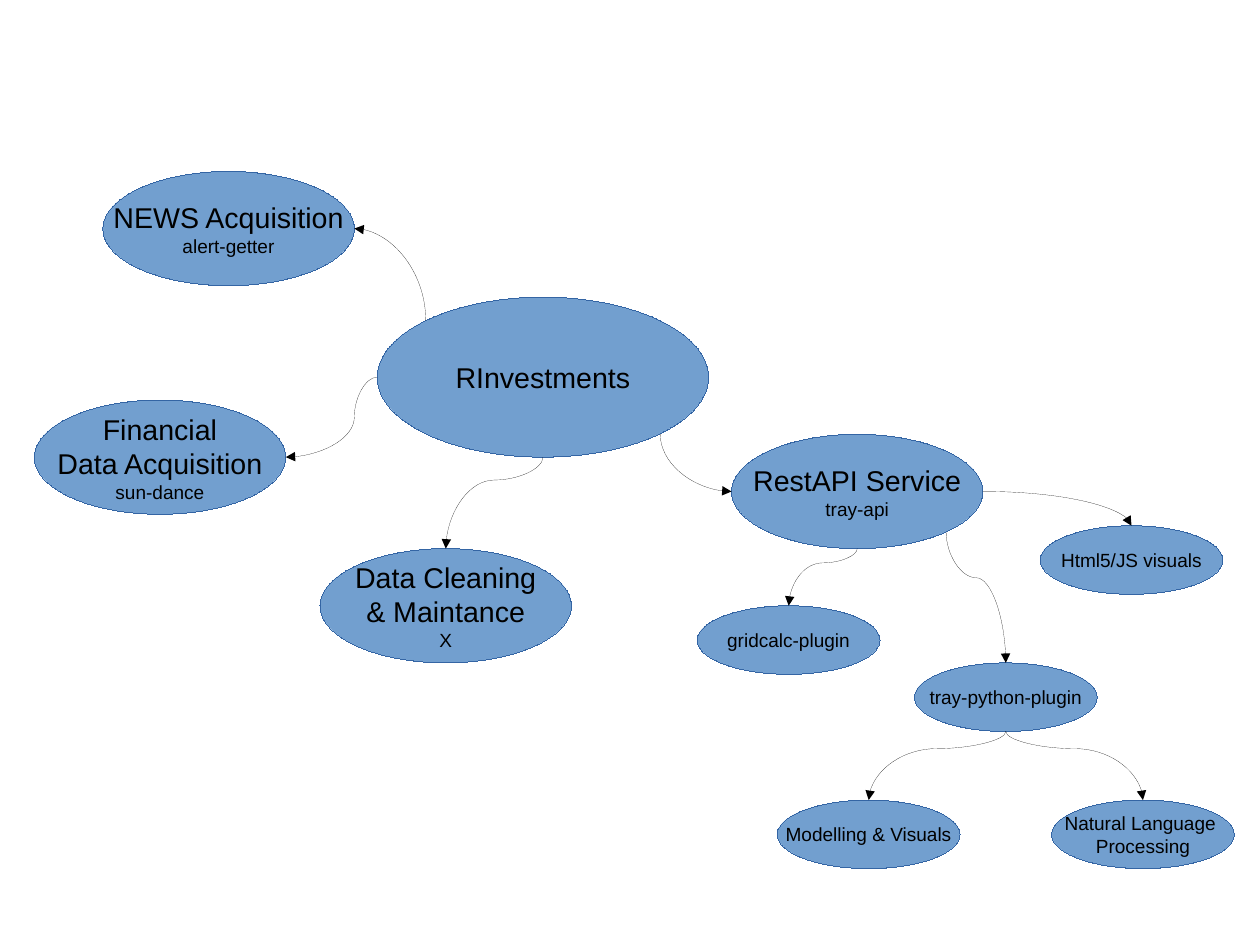
from lxml import etree
from pptx import Presentation
from pptx.dml.color import RGBColor
from pptx.enum import shapes, text
from pptx.oxml.ns import qn
from pptx.util import Cm, Inches, Pt

FILL = RGBColor(0x72, 0x9F, 0xCF)
OUTLINE = RGBColor(0x34, 0x65, 0xA4)
BLACK = RGBColor(0, 0, 0)
FONT = "Arial"
TITLE, DETAIL = 18, 12

# Ellipse sizes in inches: width, height
ROOT, BRANCH, LEAF = (2.9, 1.4), (2.2, 1.0), (1.6, 0.6)

# key: (left, top, size, [(line, points), ...])
BUBBLES = {
    "root": (3.3, 2.6, ROOT, [("RInvestments", TITLE)]),
    "financial": (0.3, 3.5, BRANCH, [("Financial", TITLE), ("Data Acquisition", TITLE),
                                     ("sun-dance", DETAIL)]),
    "cleaning": (2.8, 4.8, BRANCH, [("Data Cleaning", TITLE), ("& Maintance", TITLE),
                                    ("X", DETAIL)]),
    "rest": (6.4, 3.8, BRANCH, [("RestAPI Service", TITLE), ("tray-api", DETAIL)]),
    "sheet": (6.1, 5.3, LEAF, [("gridcalc-plugin", DETAIL)]),
    "python": (8.0, 5.8, LEAF, [("tray-python-plugin", DETAIL)]),
    "modelling": (6.8, 7.0, LEAF, [("Modelling & Visuals", DETAIL)]),
    "html": (9.1, 4.6, LEAF, [("Html5/JS visuals", DETAIL)]),
    "news": (0.9, 1.5, BRANCH, [("NEWS Acquisition", TITLE), ("alert-getter", DETAIL)]),
    "language": (9.2, 7.0, LEAF, [("Natural Language ", DETAIL), ("Processing", DETAIL)]),
}

# from, site, to, site, first direction, bend (None for a single quarter curve)
ARROWS = [
    ("root", "top left", "news", "right", "up", None),
    ("root", "left", "financial", "right", "left", 0.25),
    ("root", "bottom", "cleaning", "top", "down", 0.25),
    ("root", "bottom right", "rest", "left", "down", None),
    ("rest", "bottom", "sheet", "top", "down", 0.25),
    ("rest", "bottom right", "python", "top", "down", 0.35),
    ("rest", "right", "html", "top", "right", None),
    ("python", "bottom", "modelling", "top", "down", 0.25),
    ("python", "bottom", "language", "top", "down", 0.25),
]

# Sites as fractions of the ellipse's box; DIAG is where 45 degrees meets it
DIAG = 0.5 - 0.5 * 0.5 ** 0.5
SITES = {
    "top": (0.5, 0), "bottom": (0.5, 1), "left": (0, 0.5), "right": (1, 0.5),
    "top left": (DIAG, DIAG), "bottom right": (1 - DIAG, 1 - DIAG),
}


def site_point(key, site):
    left, top, (w, h), _ = BUBBLES[key]
    fx, fy = SITES[site]
    return left + w * fx, top + h * fy


def curve_frame(direction, dx):
    """Rotation in degrees and flip attribute for a curve leaving this way."""
    if direction == "down":
        return (270, "flipH") if dx > 0 else (90, None)
    return {"up": (270, "flipV"), "left": (180, "flipV"), "right": (0, None)}[direction]


def set_hairline(shape, color):
    """Colour the line and write its zero width, which line.width leaves out."""
    shape.line.color.rgb = color
    ln = shape._element.spPr.find(qn("a:ln"))
    ln.set("w", "0")
    return ln


def add_bubble(s, left, top, size, lines):
    sp = s.shapes.add_shape(shapes.MSO_SHAPE.OVAL, *map(Inches, (left, top, *size)))
    sp.shadow.inherit = False
    sp.fill.solid()
    sp.fill.fore_color.rgb = FILL
    set_hairline(sp, OUTLINE)
    tf = sp.text_frame
    tf.word_wrap = False
    tf.vertical_anchor = text.MSO_ANCHOR.MIDDLE
    for i, (line, points) in enumerate(lines):
        p = tf.add_paragraph() if i else tf.paragraphs[0]
        p.alignment = text.PP_ALIGN.CENTER
        r = p.add_run()
        r.text = line
        r.font.name = FONT
        r.font.size = Pt(points)
        r.font.color.rgb = BLACK


def add_arrow(s, start, end, direction, bend):
    (x1, y1), (x2, y2) = start, end
    w, h = abs(x2 - x1), abs(y2 - y1)
    if direction in ("up", "down"):
        w, h = h, w
    left, top = (x1 + x2 - w) / 2, (y1 + y2 - h) / 2
    cxn = s.shapes.add_connector(shapes.MSO_CONNECTOR.CURVE,
                                 *map(Inches, (left, top, left + w, top + h)))
    ln = set_hairline(cxn, BLACK)
    etree.SubElement(ln, qn("a:tailEnd"), type="triangle")

    spPr = cxn._element.spPr
    etree.SubElement(spPr, qn("a:effectLst"))
    rotation, flip = curve_frame(direction, x2 - x1)
    xfrm = spPr.find(qn("a:xfrm"))
    xfrm.set("rot", str(rotation * 60000))
    if flip:
        xfrm.set(flip, "1")
    geom = spPr.find(qn("a:prstGeom"))
    if bend is None:
        geom.set("prst", "curvedConnector2")
    else:
        guides = geom.find(qn("a:avLst"))
        etree.SubElement(guides, qn("a:gd"), name="adj1", fmla=f"val {round(bend * 100000)}")


def main():
    prs = Presentation()
    prs.slide_width, prs.slide_height = Cm(28), Cm(21)
    s = prs.slides.add_slide(prs.slide_layouts[6])
    for bubble in BUBBLES.values():
        add_bubble(s, *bubble)
    for source, out_site, target, in_site, direction, bend in ARROWS:
        add_arrow(s, site_point(source, out_site), site_point(target, in_site),
                  direction, bend)
    prs.save("out.pptx")


if __name__ == "__main__":
    main()
